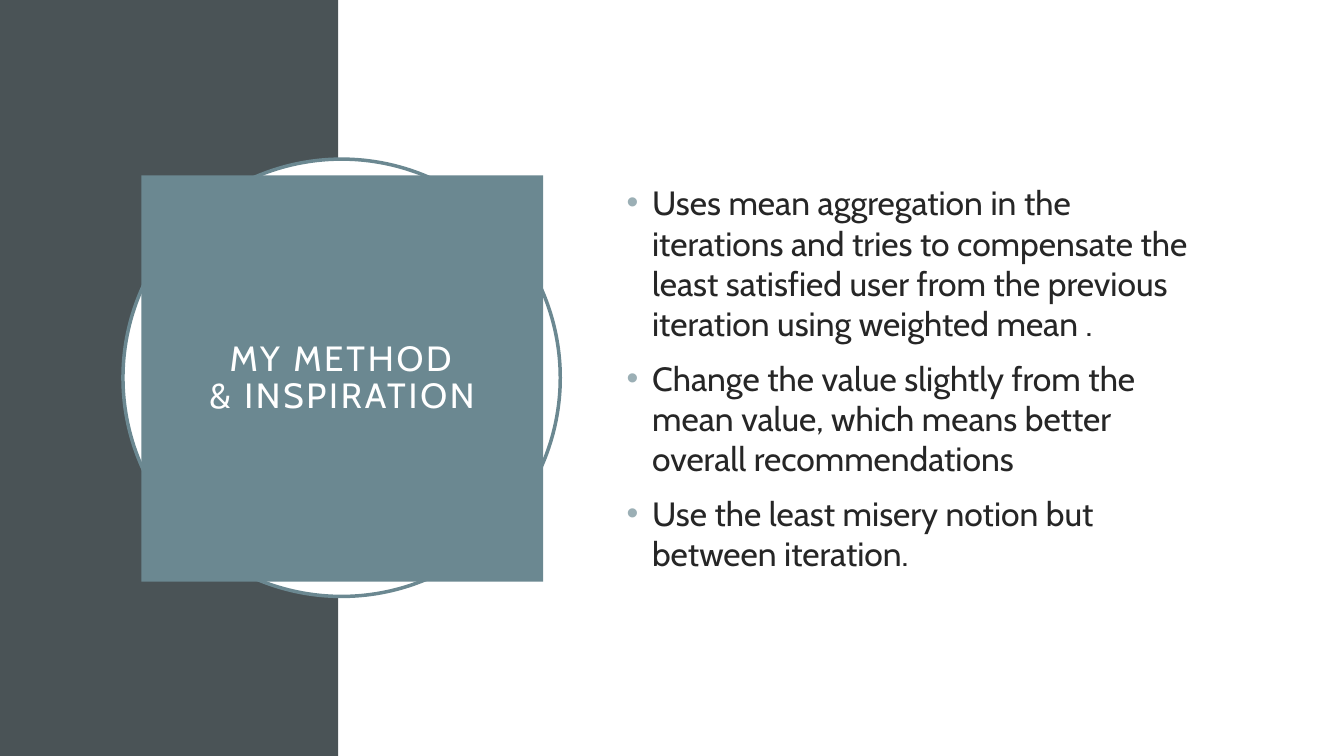
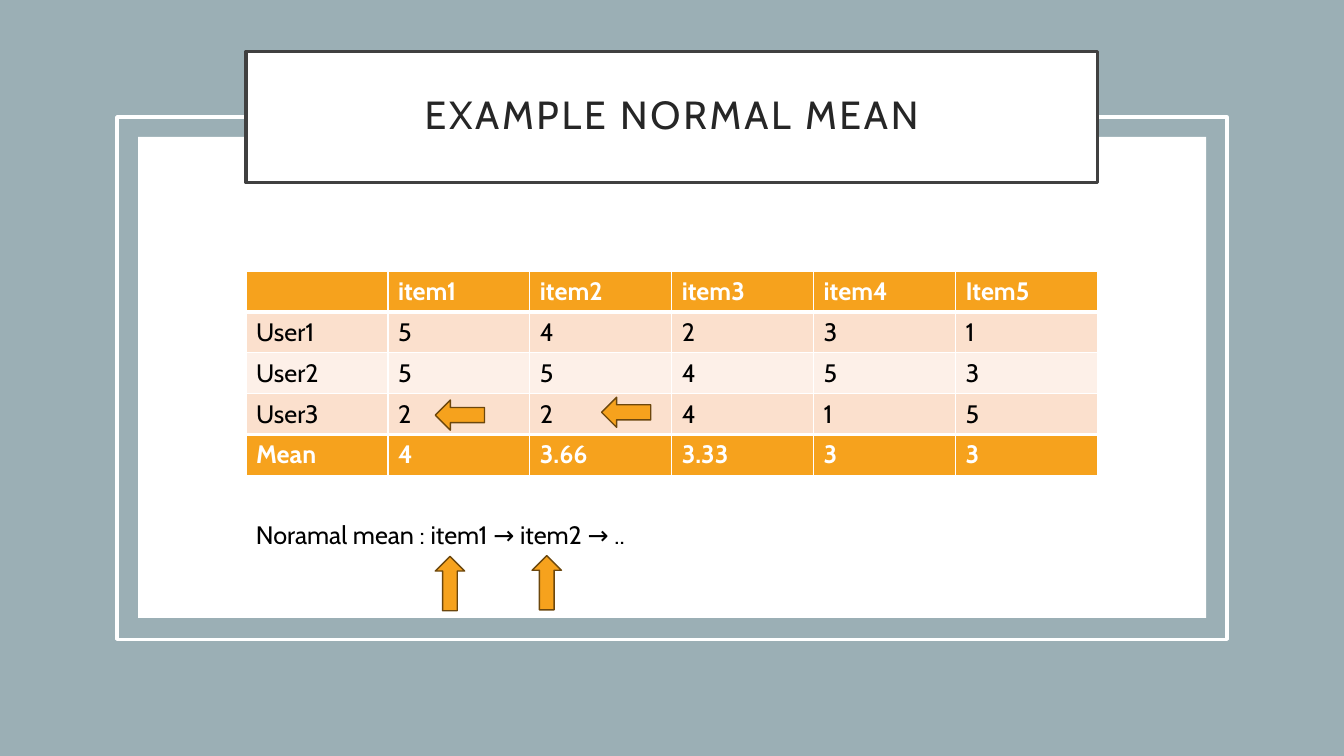
from dataclasses import dataclass

from lxml.etree import SubElement
from pptx import Presentation
from pptx.dml.color import RGBColor
from pptx.enum.shapes import MSO_SHAPE as Preset
from pptx.enum.text import MSO_ANCHOR as Anchor, MSO_AUTO_SIZE as AutoSize, PP_ALIGN as Align
from pptx.oxml.ns import qn
from pptx.util import Cm, Pt


# Theme: colours, font and type sizes
@dataclass(frozen=True)
class Theme:
    font: str = "Cabin"
    white: str = "FFFFFF"
    black: str = "000000"
    ink: str = "262626"
    frame: str = "404040"
    slate: str = "4A5356"
    teal: str = "6B8891"
    mist: str = "9BAFB5"
    orange: str = "F6A21D"
    brown: str = "6C470D"
    peach: str = "FBE0CD"
    cream: str = "FDF0E8"
    square_title: int = 25
    banner_title: int = 28
    body: int = 24
    small: int = 18
    outline: float = 2.5


theme = Theme()
TITLE_FRAME = {"vertical_anchor": Anchor.MIDDLE, "word_wrap": True, "auto_size": AutoSize.NONE,
               **{f"margin_{side}": Cm(0.51) for side in ("left", "top", "right", "bottom")}}
TITLE_PARA = {"alignment": Align.CENTER, "line_spacing": 0.9}
BODY_FRAME = {"vertical_anchor": Anchor.MIDDLE, "word_wrap": True, "auto_size": AutoSize.NONE}
BODY_PARA = {"space_before": Pt(10), "line_spacing": 1.0}


def paint(shape, place, fill=None, line=None, weight=theme.outline):
    """Place a shape in centimetres, then give it a fill and an outline."""
    for name, value in zip(("left", "top", "width", "height"), place):
        setattr(shape, name, Cm(value))
    if fill:
        shape.fill.solid()
        shape.fill.fore_color.rgb = RGBColor.from_string(fill)
    else:
        shape.fill.background()
    if line:
        shape.line.color.rgb = RGBColor.from_string(line)
        shape.line.width = Pt(weight)
    else:
        shape.line.fill.background()


def write(frame, lines, size, colour, bold=False, frame_format=None, para_format=None):
    """Fill a text frame with one paragraph per line."""
    for name, value in (frame_format or {}).items():
        setattr(frame, name, value)
    for index, line in enumerate(lines):
        para = frame.paragraphs[0] if index == 0 else frame.add_paragraph()
        para.text = line
        for name, value in (para_format or {}).items():
            setattr(para, name, value)
        for span in para.runs:
            for name, value in {"name": theme.font, "size": Pt(size), "bold": bold}.items():
                setattr(span.font, name, value)
            span.font.color.rgb = RGBColor.from_string(colour)


deck = Presentation()
deck.slide_width, deck.slide_height = Cm(33.87), Cm(19.05)

# What differs between the pages: layout, backdrop and title
pages = [
    {"layout": 1,
     "backdrop": [(Preset.RECTANGLE, (0, 0, 8.53, 19.05), theme.slate, None),
                  (Preset.RECTANGLE, (8.53, 0, 25.34, 19.05), theme.white, None),
                  (Preset.OVAL, (3.1, 4.01, 11.02, 11.02), theme.white, theme.teal)],
     "title": "MY METHOD\v& INSPIRATION",
     "box": ((3.56, 4.42, 10.13, 10.24), theme.teal, None),
     "text": (theme.square_title, theme.white)},
    {"layout": 5,
     "backdrop": [(Preset.RECTANGLE, (0, 0, 33.87, 19.05), theme.mist, None),
                  (Preset.RECTANGLE, (3.48, 3.45, 26.92, 12.12), theme.white, None),
                  (Preset.RECTANGLE, (2.95, 2.95, 27.97, 13.16), None, theme.white)],
     "title": "EXAMPLE NORMAL MEAN",
     "box": ((6.2, 1.3, 21.46, 3.3), theme.white, theme.frame),
     "text": (theme.banner_title, theme.ink)},
]

# Backdrops and titles
for page in pages:
    slide = deck.slides.add_slide(deck.slide_layouts[page["layout"]])
    placeholders = list(slide.placeholders)
    for preset, place, fill, line in page["backdrop"]:
        panel = slide.shapes.add_shape(preset, 0, 0, 0, 0)
        panel.shadow.inherit = False
        paint(panel, place, fill, line)
    title = slide.shapes.title
    paint(title, *page["box"])
    write(title.text_frame, [page["title"]], *page["text"],
          frame_format=TITLE_FRAME, para_format=TITLE_PARA)
    for span in title.text_frame.paragraphs[0].runs:
        span.font._element.set("spc", "200")
    # Placeholders go in front of the backdrop
    for placeholder in placeholders:
        slide.shapes._spTree.append(placeholder._element)

method, example = deck.slides

# Method: bullet list
points = method.placeholders[1]
paint(points, (15.54, 3.89, 14.78, 11.25))
write(points.text_frame, [
    "Uses mean aggregation in the iterations and tries to compensate the least satisfied user "
    "from the previous iteration using weighted mean .",
    "Change the value slightly from the mean value, which means better overall recommendations",
    "Use the least misery notion but between iteration.",
], theme.body, theme.ink, frame_format=BODY_FRAME, para_format=BODY_PARA)
for para in points.text_frame.paragraphs:
    props = para._p.get_or_add_pPr()
    props.set("marL", str(Cm(0.64)))
    props.set("indent", str(-Cm(0.64)))
    SubElement(SubElement(props, qn("a:buClr")), qn("a:srgbClr"), val=theme.mist)
    SubElement(props, qn("a:buFont"), typeface="Arial")
    SubElement(props, qn("a:buChar"), char="•")

# Example: ratings table
ratings = [
    ["", "item1", "item2", "item3", "item4", "Item5"],
    ["User1", "5", "4", "2", "3", "1"],
    ["User2", "5", "5", "4", "5", "3"],
    ["User3", "2", "2", "4", "1", "5"],
    ["Mean", "4", "3.66", "3.33", "3", "3"],
]
last = len(ratings) - 1
table = example.shapes.add_table(len(ratings), len(ratings[0]), Cm(6.2), Cm(6.83),
                                 Cm(21.46), Cm(5.15)).table
for row, values in enumerate(ratings):
    strong = row in (0, last)
    fill = theme.orange if strong else (theme.peach if row % 2 else theme.cream)
    thick = {"lnT": row in (1, last), "lnB": row in (0, last - 1)}
    for column, value in enumerate(values):
        cell = table.cell(row, column)
        props = cell._tc.get_or_add_tcPr()
        for edge in ("lnL", "lnR", "lnT", "lnB"):
            border = SubElement(props, qn(f"a:{edge}"), w=str(Pt(3 if thick.get(edge) else 1)))
            SubElement(SubElement(border, qn("a:solidFill")), qn("a:srgbClr"), val=theme.white)
        cell.fill.solid()
        cell.fill.fore_color.rgb = RGBColor.from_string(fill)
        write(cell.text_frame, [value], theme.small,
              theme.white if strong else theme.black, bold=strong)

# Example: resulting order
order = example.shapes.add_textbox(Cm(6.2), Cm(12.95), Cm(21.46), Cm(1.03))
write(order.text_frame, ["Noramal mean : item1 → item2 → .."], theme.small, theme.black,
      frame_format={"word_wrap": True})

# Example: arrows at the compared items
for preset, place in [
    (Preset.UP_ARROW, (10.97, 14.02, 0.74, 1.37)),
    (Preset.LEFT_ARROW, (10.97, 10.08, 1.24, 0.76)),
    (Preset.LEFT_ARROW, (15.16, 10.01, 1.24, 0.76)),
    (Preset.UP_ARROW, (13.41, 14.0, 0.74, 1.37)),
]:
    arrow = example.shapes.add_shape(preset, 0, 0, 0, 0)
    arrow.shadow.inherit = False
    paint(arrow, place, theme.orange, theme.brown, weight=1)

deck.save("out.pptx")
